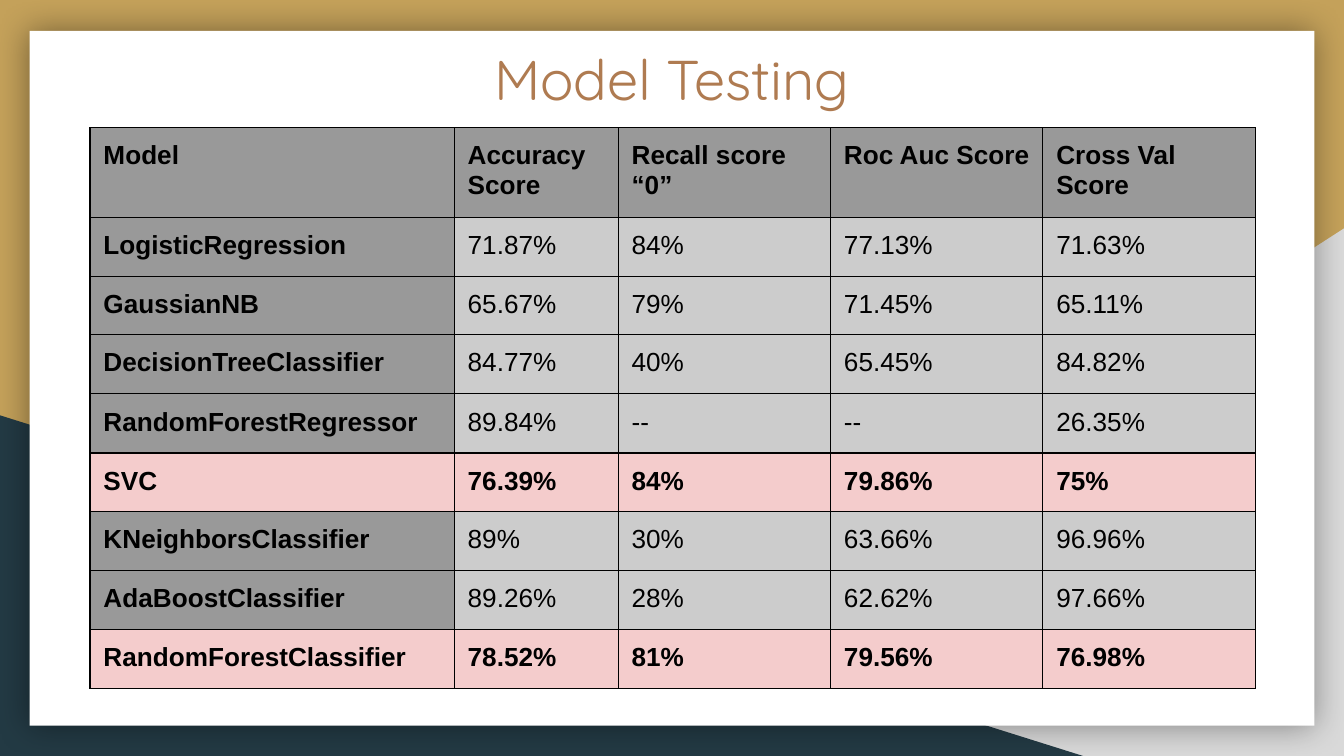
from lxml import etree
from pptx import Presentation
from pptx.dml.color import RGBColor
from pptx.enum.shapes import MSO_SHAPE
from pptx.enum.text import MSO_ANCHOR, PP_ALIGN
from pptx.oxml.ns import qn
from pptx.util import Inches, Pt

RECT = MSO_SHAPE.RECTANGLE
WEDGE = MSO_SHAPE.RIGHT_TRIANGLE
TOP = MSO_ANCHOR.TOP
CENTER = PP_ALIGN.CENTER

WIDE = 10
HIGH = WIDE * 9 / 16
COLORS = {
    "gold": "C4A15A", "light": "D9D9D9", "navy": "233A44",
    "white": "FFFFFF", "title": "AF7B51", "black": "000000",
    "head": "999999", "body": "CCCCCC", "pick": "F4CCCC",
}
ROWS = [
    ["Model", "Accuracy Score", "Recall score “0”", "Roc Auc Score",
     "Cross Val Score"],
    ["LogisticRegression", "71.87%", "84%", "77.13%", "71.63%"],
    ["GaussianNB", "65.67%", "79%", "71.45%", "65.11%"],
    ["DecisionTreeClassifier", "84.77%", "40%", "65.45%", "84.82%"],
    ["RandomForestRegressor", "89.84%", "--", "--", "26.35%"],
    ["SVC", "76.39%", "84%", "79.86%", "75%"],
    ["KNeighborsClassifier", "89%", "30%", "63.66%", "96.96%"],
    ["AdaBoostClassifier", "89.26%", "28%", "62.62%", "97.66%"],
    ["RandomForestClassifier", "78.52%", "81%", "79.56%", "76.98%"],
]
BEST = {"SVC", "RandomForestClassifier"}
WIDTHS = [2.71, 1.22, 1.58, 1.58, 1.58]
HEIGHTS = [0.44, 0.44, 0.33, 0.44, 0.44, 0.29, 0.44, 0.44, 0.44]


def color(name):
    return RGBColor.from_string(COLORS[name])


def add_panel(slide, kind, box, fill):
    panel = slide.shapes.add_shape(kind, *map(Inches, box))
    panel.shadow.inherit = False
    panel.fill.solid()
    panel.fill.fore_color.rgb = color(fill)
    panel.line.fill.background()
    return panel


def add_glow(shape):
    """Give the shape a soft, centred dark shadow."""
    effects = shape._element.spPr.find(qn("a:effectLst"))
    shadow = etree.SubElement(effects, qn("a:outerShdw"),
                              blurRad=str(Pt(18)), dist="0", dir="0",
                              algn="ctr", rotWithShape="0")
    tint = etree.SubElement(shadow, qn("a:srgbClr"), val=COLORS["black"])
    etree.SubElement(tint, qn("a:alpha"), val="40000")


def set_font(font, name, size, fill, bold=False):
    font.name = name
    font.size = Pt(size)
    font.bold = bold
    font.color.rgb = color(fill)


def set_inset(item):
    item.margin_left = item.margin_right = Inches(0.1)
    item.margin_top = item.margin_bottom = Inches(0.1)


def add_title(slide, text):
    box = slide.shapes.add_textbox(Inches(2.97), Inches(0.23),
                                   Inches(4.06), Inches(0.64))
    frame = box.text_frame
    frame.word_wrap = True
    frame.vertical_anchor = TOP
    set_inset(frame)
    frame.text = text
    line = frame.paragraphs[0]
    line.alignment = CENTER
    set_font(line.runs[0].font, "Quicksand", 30, "title")


def add_border(cell):
    """Put a thin black line on all four sides; call before the fill."""
    props = cell._tc.get_or_add_tcPr()
    for side in ("lnL", "lnR", "lnT", "lnB"):
        line = etree.SubElement(props, qn("a:" + side), w=str(Pt(0.75)))
        fill = etree.SubElement(line, qn("a:solidFill"))
        etree.SubElement(fill, qn("a:srgbClr"), val=COLORS["black"])


def fill_cell(cell, text, fill, bold):
    add_border(cell)
    cell.fill.solid()
    cell.fill.fore_color.rgb = color(fill)
    set_inset(cell)
    cell.vertical_anchor = TOP
    cell.text = text
    run = cell.text_frame.paragraphs[0].runs[0]
    set_font(run.font, "Arial", 14, "black", bold)


def add_scores(slide):
    frame = slide.shapes.add_table(
        len(ROWS), len(WIDTHS), Inches(0.67), Inches(0.95),
        Inches(sum(WIDTHS)), Inches(sum(HEIGHTS)))
    table = frame.table
    for column, width in zip(table.columns, WIDTHS):
        column.width = Inches(width)
    for row, height in zip(table.rows, HEIGHTS):
        row.height = Inches(height)
    frame.width = frame.height = Inches(3.28)
    for r, row in enumerate(ROWS):
        best = row[0] in BEST
        for c, text in enumerate(row):
            head = r == 0 or c == 0
            fill = "pick" if best else "head" if head else "body"
            fill_cell(table.cell(r, c), text, fill, best or head)


def main():
    deck = Presentation()
    deck.slide_width = Inches(WIDE)
    deck.slide_height = Inches(HIGH)
    slide = deck.slides.add_slide(deck.slide_layouts[6])
    back = slide.background.fill
    back.solid()
    back.fore_color.rgb = color("gold")

    right = add_panel(slide, WEDGE, (3.92, 1.7, 6.08, HIGH - 1.7), "light")
    right._element.spPr.xfrm.set("flipH", "1")
    add_panel(slide, WEDGE, (0, 3.09, 8.06, HIGH - 3.09), "navy")
    add_glow(add_panel(slide, RECT, (0.22, 0.23, 9.56, 5.17), "white"))
    add_title(slide, "Model Testing")
    add_scores(slide)
    deck.save("out.pptx")


if __name__ == "__main__":
    main()
